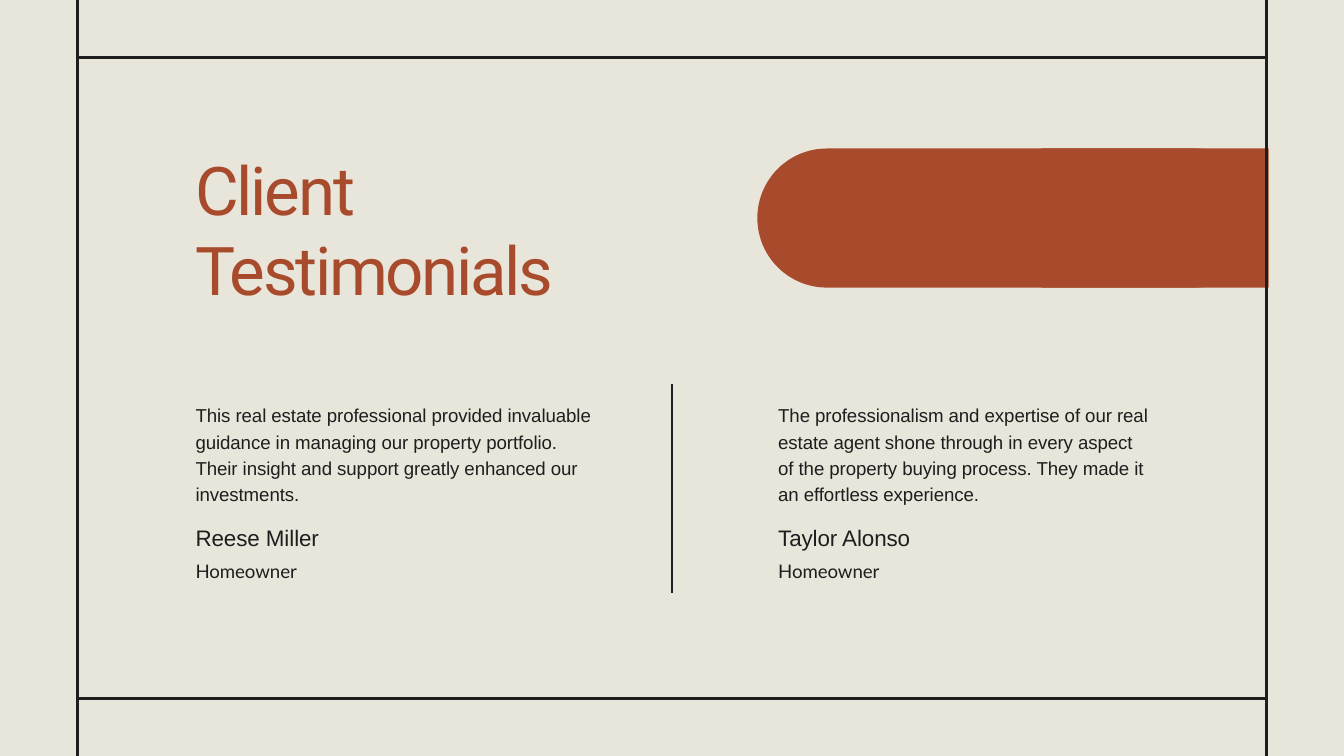
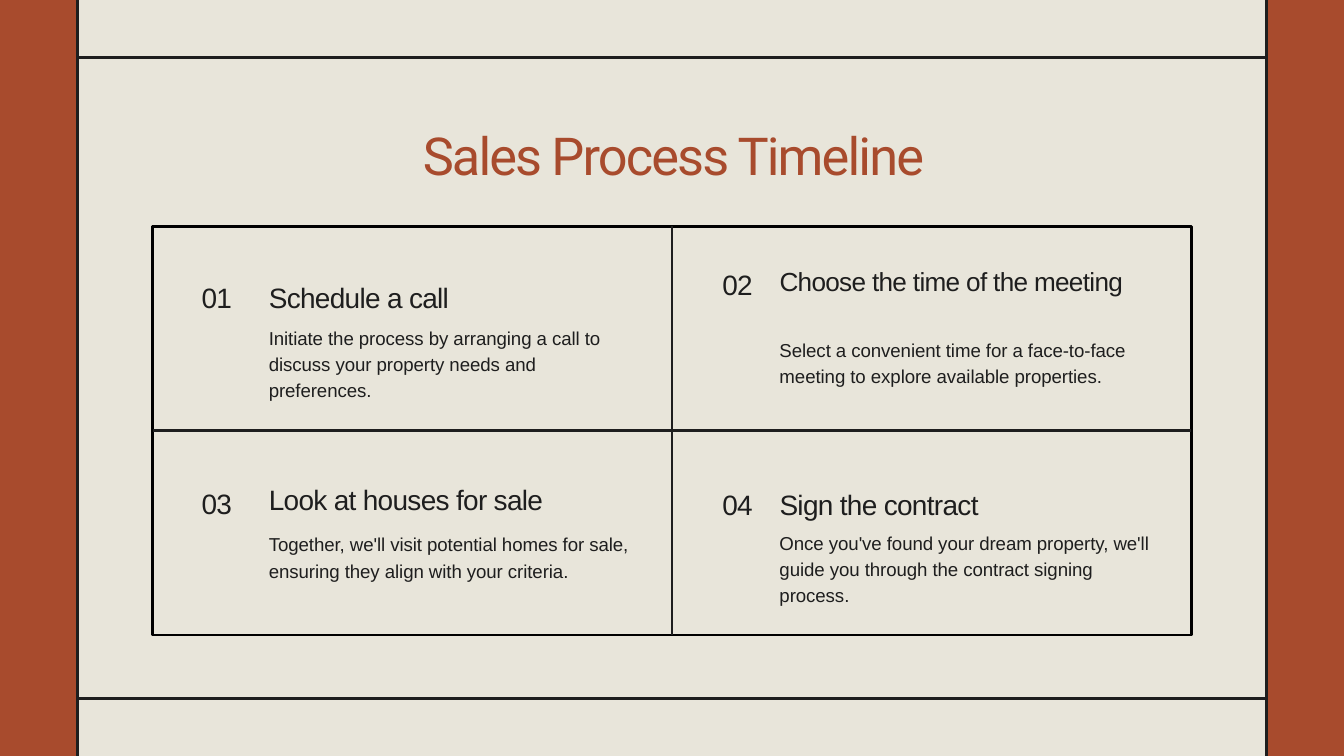
from dataclasses import dataclass

from lxml.etree import SubElement
from pptx import Presentation
from pptx.dml.color import RGBColor
from pptx.enum.shapes import MSO_CONNECTOR as Link, MSO_SHAPE as Shape
from pptx.enum.text import PP_ALIGN as Align
from pptx.oxml.ns import qn
from pptx.util import Inches, Pt


@dataclass(frozen=True)
class Theme:
    paper: RGBColor = RGBColor.from_string("E8E5DA")
    rust: RGBColor = RGBColor.from_string("A84B2D")
    ink: RGBColor = RGBColor.from_string("1E1E1E")
    black: RGBColor = RGBColor.from_string("000000")
    title_font: str = "Roboto"
    body_font: str = "Arial"
    role_font: str = "Lato"
    large_title: int = 72
    title: int = 56
    step: int = 30
    long_step: int = 28
    client: int = 24
    body: int = 20
    rule: int = 3


theme = Theme()
WIDTH, HEIGHT = 20, 11.25
LEFT, RIGHT = 1.15, 18.85
TOP, BOTTOM = 0.85, 10.4


def write(slide, text, left, top, width, height, size=theme.body, leading=28,
          font=theme.body_font, color=theme.ink, tracking=-0.1, align=Align.LEFT):
    box = slide.shapes.add_textbox(Inches(left), Inches(top), Inches(width), Inches(height))
    frame = box.text_frame
    frame.word_wrap = True
    frame.margin_left = frame.margin_top = frame.margin_right = frame.margin_bottom = 0
    paragraph = frame.paragraphs[0]
    paragraph.alignment = align
    paragraph.line_spacing = Pt(leading)
    run = paragraph.add_run()
    run.text = text
    run.font.size = Pt(size)
    run.font.name = font
    run.font.color.rgb = color
    run._r.get_or_add_rPr().set("spc", str(round(tracking * 100)))


def draw_rule(slide, x1, y1, x2, y2):
    rule = slide.shapes.add_connector(
        Link.STRAIGHT, Inches(x1), Inches(y1), Inches(x2), Inches(y2))
    rule.line.color.rgb = theme.ink
    rule.line.width = Pt(theme.rule)
    SubElement(rule._element.spPr, qn("a:effectLst"))
    return rule


deck = Presentation()
deck.slide_width, deck.slide_height = Inches(WIDTH), Inches(HEIGHT)
testimonials = deck.slides.add_slide(deck.slide_layouts[6])
timeline = deck.slides.add_slide(deck.slide_layouts[6])

rust_areas = [
    (testimonials, Shape.ROUNDED_RECTANGLE, 11.27, 2.21, 7.56, 2.07),
    (testimonials, Shape.RECTANGLE, 15.5, 2.21, 3.38, 2.07),
    (timeline, Shape.RECTANGLE, 0, 0, 1.17, HEIGHT),
    (timeline, Shape.RECTANGLE, 18.83, 0, 1.17, HEIGHT),
]
for slide, outline, *place in rust_areas:
    area = slide.shapes.add_shape(outline, *map(Inches, place))
    area.shadow.inherit = False
    area.fill.solid()
    area.fill.fore_color.rgb = theme.rust
    area.line.fill.background()
    if outline == Shape.ROUNDED_RECTANGLE:
        area.adjustments[0] = 0.5

for slide in (testimonials, timeline):
    slide.background.fill.solid()
    slide.background.fill.fore_color.rgb = theme.paper
    for y in (BOTTOM, TOP):
        draw_rule(slide, LEFT, y, RIGHT, y)
    for x in (LEFT, RIGHT):
        draw_rule(slide, x, 0, x, HEIGHT)

draw_rule(testimonials, 10, 5.71, 10, 8.83)
write(testimonials, "Client Testimonials", 2.91, 2.2, 7.33, 2.43, size=theme.large_title,
      leading=86.4, font=theme.title_font, color=theme.rust, tracking=-2.5)

quotes = [
    (2.91, 6, "Reese Miller",
     "This real estate professional provided invaluable guidance in managing our property "
     "portfolio. Their insight and support greatly enhanced our investments."),
    (11.58, 5.5, "Taylor Alonso",
     "The professionalism and expertise of our real estate agent shone through in every aspect "
     "of the property buying process. They made it an effortless experience."),
]
for left, width, client, quote in quotes:
    write(testimonials, quote, left, 5.96, width, 1.54)
    write(testimonials, client, left, 7.73, 3.25, 0.44, size=theme.client, leading=33.6)
    write(testimonials, "Homeowner", left, 8.27, 2.43, 0.38, font=theme.role_font)

grid = timeline.shapes.add_shape(
    Shape.RECTANGLE, Inches(2.27), Inches(3.37), Inches(15.46), Inches(6.08))
grid.shadow.inherit = False
grid.fill.background()
grid.line.color.rgb = theme.black
grid.line.width = Pt(theme.rule)
for start, end, ends in ((0, 2, (10, 3.37, 10, 9.45)), (1, 3, (2.27, 6.41, 17.73, 6.41))):
    divider = draw_rule(timeline, *ends)
    divider.begin_connect(grid, start)
    divider.end_connect(grid, end)

write(timeline, "Sales Process Timeline", 5.52, 1.68, 9, 1.06, size=theme.title, leading=78.4,
      font=theme.title_font, color=theme.rust, tracking=-2, align=Align.CENTER)

number_lefts, step_lefts = (3, 10.75), (4, 11.6)
steps = [
    ("Schedule a call", theme.step, 42, 4.09, 4.09, 4.81,
     "Initiate the process by arranging a call to discuss your property needs and preferences."),
    ("Choose the time of the meeting", theme.long_step, 28, 3.9, 4.03, 4.98,
     "Select a convenient time for a face-to-face meeting to explore available properties."),
    ("Look at houses for sale", theme.step, 30, 7.15, 7.27, 7.88,
     "Together, we'll visit potential homes for sale, ensuring they align with your criteria."),
    ("Sign the contract", theme.step, 42, 7.17, 7.17, 7.86,
     "Once you've found your dream property, we'll guide you through the contract signing "
     "process."),
]
for index, (step, size, leading, number_top, step_top, detail_top, detail) in enumerate(steps):
    column = index % 2
    write(timeline, f"{index + 1:02}", number_lefts[column], number_top, 0.75, 0.57,
          size=theme.step, leading=42, tracking=-0.8)
    write(timeline, step, step_lefts[column], step_top, 5.21, 0.57,
          size=size, leading=leading, tracking=-size / 40)
    write(timeline, detail, step_lefts[column], detail_top, 5.54, 1.15)

deck.save("out.pptx")
